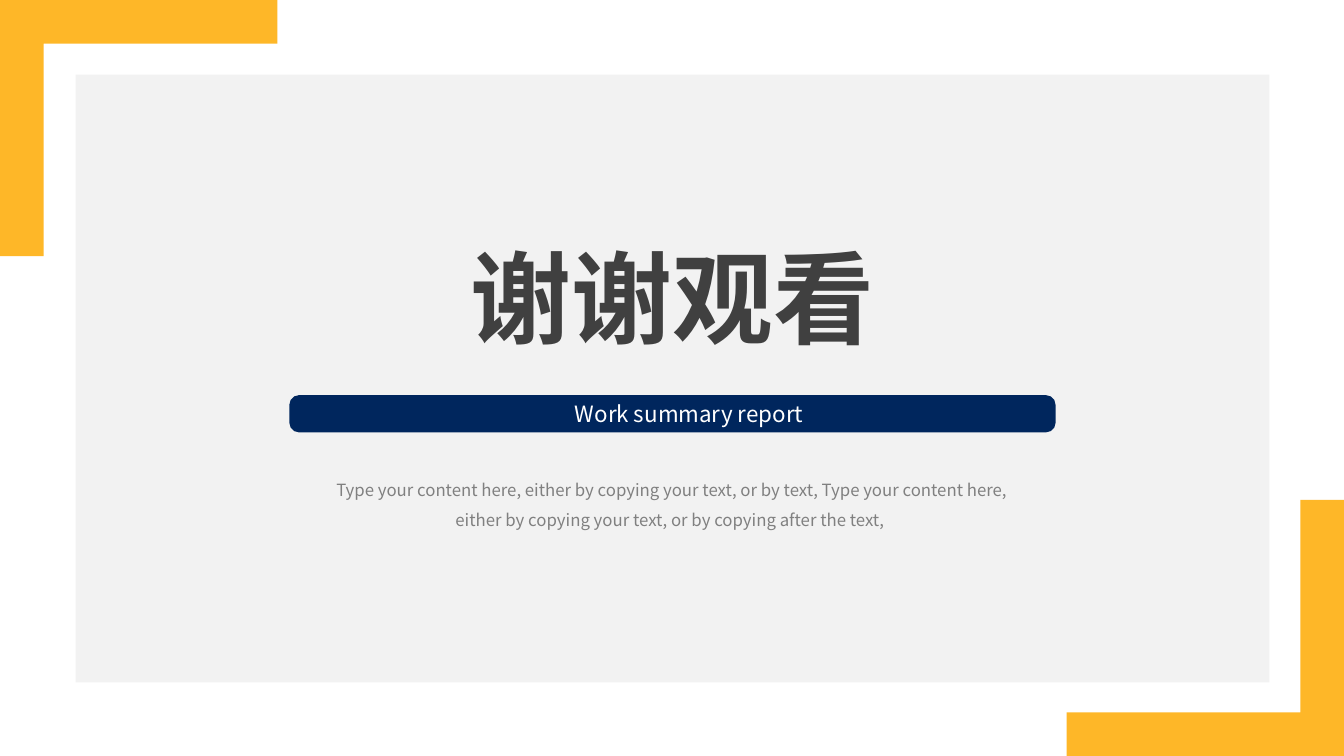
from lxml.etree import SubElement
from pptx import Presentation
from pptx.dml.color import RGBColor
from pptx.enum.shapes import MSO_SHAPE as SHAPE
from pptx.enum.text import MSO_AUTO_SIZE as FIT, PP_ALIGN as ALIGN
from pptx.oxml.ns import qn
from pptx.util import Inches, Pt

AMBER = RGBColor(0xFE, 0xB7, 0x28)
NAVY = RGBColor(0x00, 0x26, 0x5D)
PALE = RGBColor(0xF2, 0xF2, 0xF2)
DARK = RGBColor(0x40, 0x40, 0x40)
GREY = RGBColor(0x80, 0x80, 0x80)
WHITE = RGBColor(0xFF, 0xFF, 0xFF)
FONT = "Noto Sans CJK SC"
WIDTH, HEIGHT = 13.33, 7.5
CORNER_W, CORNER_H = 2.75, 2.54

deck = Presentation()
deck.slide_width, deck.slide_height = Inches(WIDTH), Inches(HEIGHT)
slide = deck.slides.add_slide(deck.slide_layouts[6])


def add_block(preset, box, color, adjustments=()):
    block = slide.shapes.add_shape(preset, *map(Inches, box))
    block.shadow.inherit = False
    block.fill.solid()
    block.fill.fore_color.rgb = color
    block.line.fill.background()
    for index, value in enumerate(adjustments):
        block.adjustments[index] = value
    return block


for left, top, turn in (
    (WIDTH - CORNER_W, HEIGHT - CORNER_H, 0),
    (0, 0, 180),
):
    corner = add_block(SHAPE.CORNER, (left, top, CORNER_W, CORNER_H), AMBER, (0.17, 0.17))
    corner.rotation = turn
    corner._element.spPr.find(qn("a:xfrm")).set("flipH", "1")

add_block(SHAPE.RECTANGLE, (0.75, 0.74, 11.84, 6.03), PALE)
add_block(SHAPE.ROUNDED_RECTANGLE, (2.87, 3.92, 7.6, 0.37), NAVY, (0.26,))

captions = (
    ("谢谢观看", (1.67, 2.29, 10, 1.31), {"size": Pt(72), "bold": True}, DARK, {}, 1),
    (
        "Type your content here, either by copying your text, or by text, "
        "Type your content here, either by copying your text, or by copying after the text, ",
        (3.21, 4.66, 6.91, 0.58),
        {"size": Pt(12)},
        GREY,
        dict.fromkeys(("margin_left", "margin_top", "margin_right", "margin_bottom"), 0),
        1.5,
    ),
    ("Work summary report", (4.11, 3.92, 5.45, 0.37), {"size": Pt(16)}, WHITE, {}, 1),
)
for words, box, font_format, color, margins, spacing in captions:
    frame = slide.shapes.add_textbox(*map(Inches, box)).text_frame
    for name, value in {"word_wrap": True, "auto_size": FIT.SHAPE_TO_FIT_TEXT, **margins}.items():
        setattr(frame, name, value)
    paragraph = frame.paragraphs[0]
    paragraph.alignment = ALIGN.CENTER
    paragraph.line_spacing = spacing
    run = paragraph.add_run()
    run.text = words
    for name, value in {"name": FONT, **font_format}.items():
        setattr(run.font, name, value)
    run.font.color.rgb = color
    SubElement(run._r.get_or_add_rPr(), qn("a:ea"), typeface=FONT)

deck.save("out.pptx")
